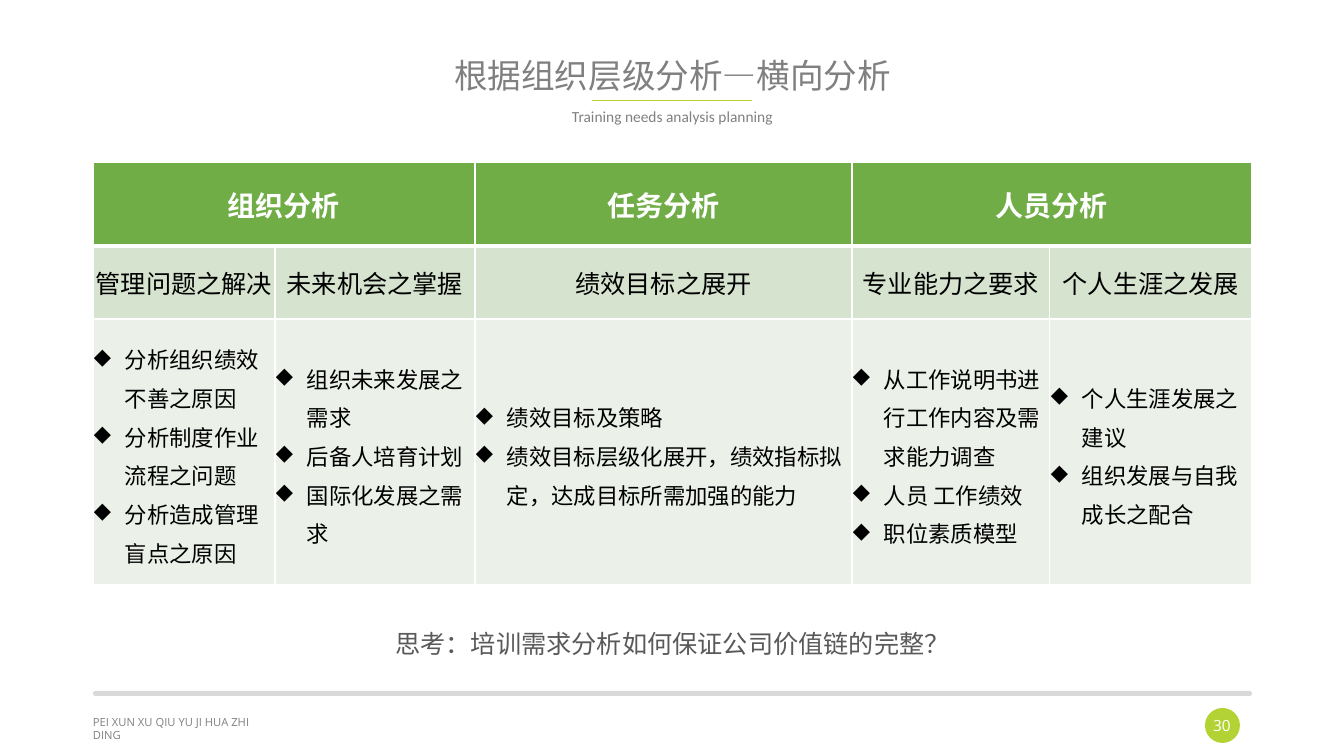
import pptx
import pptx.dml.color
import pptx.enum.shapes
import pptx.enum.text
import pptx.oxml
import pptx.oxml.ns
import pptx.util
from dataclasses import dataclass

TITLE = "根据组织层级分析—横向分析"
SUBTITLE = "Training needs analysis planning"
QUESTION = "思考：培训需求分析如何保证公司价值链的完整？"
FOOTER = "PEI XUN XU QIU YU JI HUA ZHI DING"
PAGE_NUMBER = "30"

# Heading, then its columns: (topic, points)
ANALYSES = [
    ("组织分析", [
        ("管理问题之解决", ["分析组织绩效不善之原因", "分析制度作业流程之问题", "分析造成管理盲点之原因"]),
        ("未来机会之掌握", ["组织未来发展之需求", "后备人培育计划", "国际化发展之需求"]),
    ]),
    ("任务分析", [
        ("绩效目标之展开", ["绩效目标及策略", "绩效目标层级化展开，绩效指标拟定，达成目标所需加强的能力"]),
    ]),
    ("人员分析", [
        ("专业能力之要求", ["从工作说明书进行工作内容及需求能力调查", "人员 工作绩效", "职位素质模型"]),
        ("个人生涯之发展", ["个人生涯发展之建议", "组织发展与自我成长之配合"]),
    ]),
]
COLUMN_WIDTHS = [182, 200, 377, 198, 202]
ROW_HEIGHTS = [84, 73, 266]
PAGE_WIDTH, PAGE_HEIGHT = 1344, 756
LEFT, TABLE_TOP, CONTENT_WIDTH = 93, 162, sum(COLUMN_WIDTHS)
BULLET_INDENT = 31

ALIGN = pptx.enum.text.PP_ALIGN
ANCHOR = pptx.enum.text.MSO_ANCHOR
SHAPE = pptx.enum.shapes.MSO_SHAPE


@dataclass(frozen=True)
class Theme:
    font: str = "Calibri"
    footer_font: str = "Open Sans"
    white: str = "FFFFFF"
    black: str = "000000"
    grey: str = "808080"
    dark_grey: str = "595959"
    rule: str = "D9D9D9"
    lime: str = "B3D334"
    header: str = "70AD47"
    topic: str = "D5E3CF"
    points: str = "EBF1E9"
    title_size: int = 24
    header_size: int = 20
    topic_size: int = 18
    points_size: int = 16
    small_size: int = 11
    footer_size: int = 8


THEME = Theme()


def px(length):
    return pptx.util.Emu(round(length * 914400 / 100.8))


def rgb(colour):
    return pptx.dml.color.RGBColor.from_string(colour)


def apply(target, **values):
    for name, value in values.items():
        setattr(target, name, value)


def add_xml(parent, xml):
    namespace = pptx.oxml.ns.nsdecls("a")
    parent.append(pptx.oxml.parse_xml(xml.replace("/>", f" {namespace}/>", 1)
                                     if xml.endswith("/>") and xml.count("<") == 1
                                     else xml.replace(">", f" {namespace}>", 1)))


def write(para, text, size, colour, font=THEME.font, bold=False, align=ALIGN.CENTER, spacing=None):
    apply(para, alignment=align, line_spacing=spacing)
    span = para.add_run()
    span.text = text
    apply(span.font, name=font, size=pptx.util.Pt(size), bold=bold)
    span.font.color.rgb = rgb(colour)


def add_text(page, bounds, text, size, colour, anchor=ANCHOR.TOP, wrap=True, **style):
    frame = page.shapes.add_textbox(*map(px, bounds)).text_frame
    apply(frame, word_wrap=wrap, vertical_anchor=anchor)
    write(frame.paragraphs[0], text, size, colour, **style)


def add_solid(page, kind, bounds, colour):
    shape = page.shapes.add_shape(kind, *map(px, bounds))
    shape.shadow.inherit = False
    shape.fill.solid()
    shape.fill.fore_color.rgb = rgb(colour)
    shape.line.fill.background()
    return shape


def style_cell(cell, fill, bottom_width=1):
    """Set margins, white borders and fill; borders must precede the fill."""
    apply(cell, margin_left=px(1), margin_right=px(1), margin_top=px(1),
          margin_bottom=0, vertical_anchor=ANCHOR.MIDDLE)
    properties = cell._tc.get_or_add_tcPr()
    for side, width in zip("LRTB", (1, 1, 1, bottom_width)):
        add_xml(properties, f'<a:ln{side} w="{pptx.util.Pt(width)}"><a:solidFill>'
                            f'<a:srgbClr val="{THEME.white}"/></a:solidFill></a:ln{side}>')
    cell.fill.solid()
    cell.fill.fore_color.rgb = rgb(fill)


def write_points(frame, points):
    for index, point in enumerate(points):
        para = frame.add_paragraph() if index else frame.paragraphs[0]
        properties = para._p.get_or_add_pPr()
        properties.set("marL", str(px(BULLET_INDENT)))
        properties.set("indent", str(-px(BULLET_INDENT)))
        add_xml(properties, '<a:buChar char="◆"/>')
        write(para, point, THEME.points_size, THEME.black, align=ALIGN.LEFT, spacing=1.2)


def add_analysis_table(page):
    bounds = (LEFT, TABLE_TOP, CONTENT_WIDTH, sum(ROW_HEIGHTS))
    table = page.shapes.add_table(len(ROW_HEIGHTS), len(COLUMN_WIDTHS), *map(px, bounds)).table
    for column, width in zip(table.columns, COLUMN_WIDTHS):
        column.width = px(width)
    for row, height in zip(table.rows, ROW_HEIGHTS):
        row.height = px(height)

    first = 0
    for heading, topics in ANALYSES:
        for column, (topic, points) in enumerate(topics, first):
            header_cell, topic_cell, points_cell = (table.cell(row, column) for row in range(3))
            style_cell(header_cell, THEME.header, bottom_width=3)
            style_cell(topic_cell, THEME.topic)
            style_cell(points_cell, THEME.points)
            write(topic_cell.text_frame.paragraphs[0], topic, THEME.topic_size, THEME.black)
            write_points(points_cell.text_frame, points)
        header_cell = table.cell(0, first)
        if len(topics) > 1:
            header_cell.merge(table.cell(0, first + len(topics) - 1))
        write(header_cell.text_frame.paragraphs[0], heading, THEME.header_size, THEME.white, bold=True)
        first += len(topics)


def add_title_rule(page):
    straight = pptx.enum.shapes.MSO_CONNECTOR.STRAIGHT
    rule = page.shapes.add_connector(straight, *map(px, (592, 100, 752, 100)))
    rule.line.color.rgb = rgb(THEME.lime)
    rule.line.width = pptx.util.Pt(0.5)
    add_xml(rule._element.spPr, "<a:effectLst/>")


def main():
    deck = pptx.Presentation()
    apply(deck, slide_width=px(PAGE_WIDTH), slide_height=px(PAGE_HEIGHT))
    page = deck.slides.add_slide(deck.slide_layouts[6])

    footer_bar = add_solid(page, SHAPE.ROUNDED_RECTANGLE, (LEFT, 691, CONTENT_WIDTH, 5), THEME.rule)
    footer_bar.adjustments[0] = 0.5
    add_title_rule(page)
    add_solid(page, SHAPE.OVAL, (1205, 708, 35, 35), THEME.lime)
    add_text(page, (83, 710, 179, 24), FOOTER, THEME.footer_size, THEME.grey,
             font=THEME.footer_font, align=ALIGN.LEFT)
    add_text(page, (1203, 711, 38, 29), PAGE_NUMBER, THEME.small_size, THEME.white,
             font=THEME.footer_font, wrap=False)
    add_text(page, (LEFT, 34, CONTENT_WIDTH, 87), TITLE, THEME.title_size, THEME.grey,
             anchor=ANCHOR.MIDDLE, spacing=0.9)
    add_text(page, (LEFT, 104, CONTENT_WIDTH, 58), SUBTITLE, THEME.small_size, THEME.grey, spacing=0.9)
    add_analysis_table(page)
    add_text(page, (LEFT, 623, CONTENT_WIDTH, 40), QUESTION, THEME.topic_size, THEME.dark_grey)
    deck.save("out.pptx")


if __name__ == "__main__":
    main()
